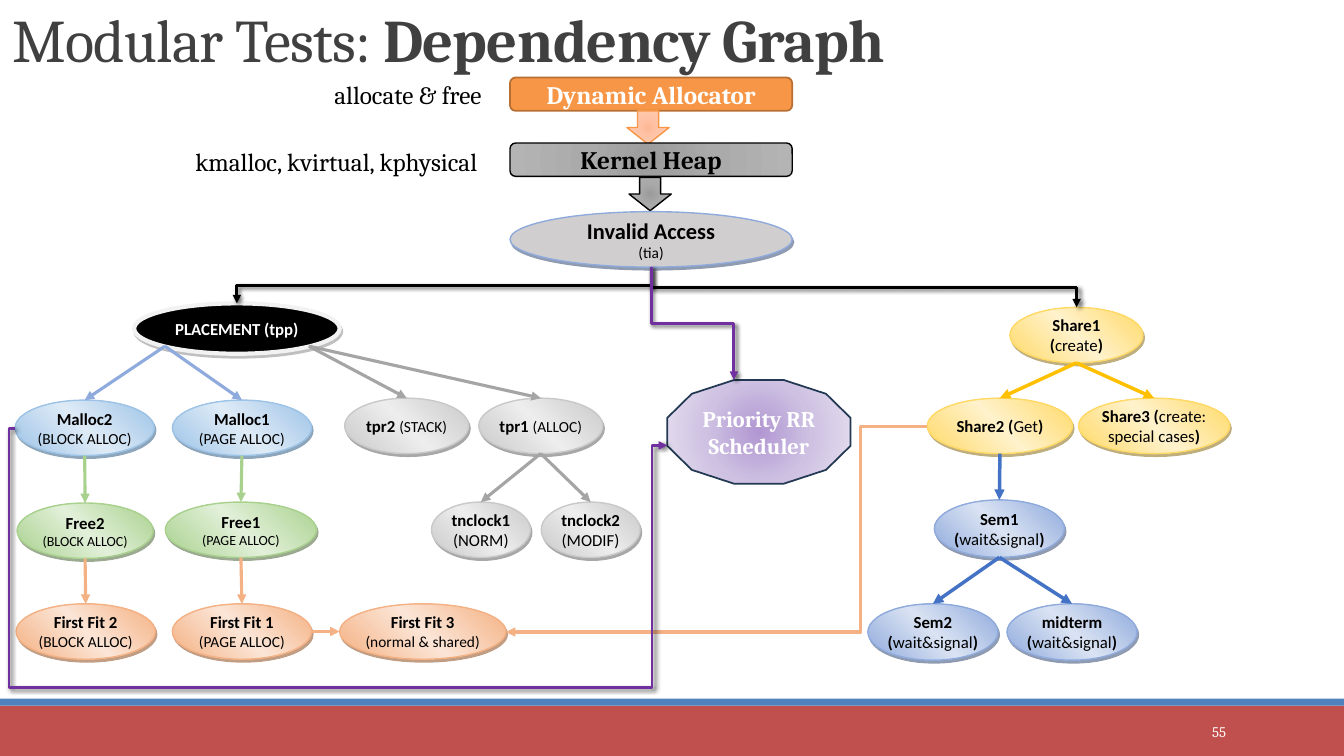
from pptx import Presentation
from pptx.dml.color import RGBColor
from pptx.enum.shapes import MSO_CONNECTOR, MSO_SHAPE
from pptx.enum.text import MSO_ANCHOR, MSO_AUTO_SIZE, PP_ALIGN
from pptx.oxml import parse_xml
from pptx.oxml.ns import nsdecls, qn
from pptx.util import Pt


def write(frame, lines, font, color, size, plain_size=None, align=PP_ALIGN.CENTER):
    """Write one paragraph per line; each | switches between bold and plain."""
    for number, line in enumerate(lines):
        para = frame.add_paragraph() if number else frame.paragraphs[0]
        para.alignment = align
        para.font.name = font
        para.font.color.rgb = RGBColor.from_string(color)
        parts = [(part, i % 2 == 0) for i, part in enumerate(line.split("|")) if part]
        for part, bold in parts:
            span = para.add_run()
            span.text = part
            target = para.font if len(parts) == 1 else span.font
            target.bold = bold
            target.size = Pt(size if bold else plain_size or size)


def style(shape, line, width=1, fill=None, focus=None, shadow=None, arrow=False):
    """Set fill (hex or gradient stops), line, arrowhead and shadow.

    focus is the percent inset of a circular gradient; without it the gradient is linear.
    shadow is colour, opacity, blur, distance and angle.
    """
    properties = shape._element.spPr
    if isinstance(fill, str):
        shape.fill.solid()
        shape.fill.fore_color.rgb = RGBColor.from_string(fill)
    elif fill:
        shape.fill.gradient()
        gradient = properties.find(qn("a:gradFill"))
        for child in list(gradient):
            gradient.remove(child)
        stops = "".join(f'<a:gs pos="{at * 1000}"><a:srgbClr val="{color}"/></a:gs>' for at, color in fill)
        gradient.append(parse_xml(f'<a:gsLst {nsdecls("a")}>{stops}</a:gsLst>'))
        if focus:
            inset = " ".join(f'{side}="{focus * 1000}"' for side in "ltrb")
            direction = f'<a:path {nsdecls("a")} path="circle"><a:fillToRect {inset}/></a:path>'
        else:
            direction = f'<a:lin {nsdecls("a")} ang="18900000" scaled="1"/>'
        gradient.append(parse_xml(direction))
    if line:
        shape.line.color.rgb = RGBColor.from_string(line)
        shape.line.width = Pt(width)
    else:
        shape.line.fill.background()
    if arrow:
        properties.find(qn("a:ln")).append(parse_xml(f'<a:tailEnd {nsdecls("a")} type="triangle"/>'))
    effect = ""
    if shadow:
        color, opacity, blur, distance, angle = shadow
        effect = (f'<a:outerShdw blurRad="{Pt(blur)}" dist="{Pt(distance)}" dir="{angle * 60000}" '
                  f'algn="ctr" rotWithShape="0"><a:srgbClr val="{color}">'
                  f'<a:alpha val="{opacity * 1000}"/></a:srgbClr></a:outerShdw>')
    properties.append(parse_xml(f'<a:effectLst {nsdecls("a")}>{effect}</a:effectLst>'))


deck = Presentation()
deck.slide_width, deck.slide_height = Pt(960), Pt(540)
page = deck.slides.add_slide(deck.slide_layouts[5])
shapes = page.shapes

# Footer bands and page number
for top, height, color in ((504, 36, "C0504D"), (499, 5, "4F81BD")):
    band = shapes.add_shape(MSO_SHAPE.RECTANGLE, 0, Pt(top), Pt(960), Pt(height))
    style(band, None, fill=color)
number_box = shapes.add_textbox(Pt(779.8), Pt(508.3), Pt(103), Pt(28.8))
number_box.text_frame.word_wrap = True
number_box.text_frame.vertical_anchor = MSO_ANCHOR.MIDDLE
write(number_box.text_frame, ["|55"], "Cambria", "FFFFFF", 10.5, align=PP_ALIGN.RIGHT)

# Title
title = shapes.title
title.left, title.top, title.width, title.height = Pt(1.4), Pt(1.4), Pt(958.4), Pt(55.4)
frame = title.text_frame
frame.word_wrap = True
frame.auto_size = MSO_AUTO_SIZE.NONE
frame.vertical_anchor = MSO_ANCHOR.BOTTOM
write(frame, ["|Modular Tests: |Dependency Graph"], "Cambria", "404040", 43.2, align=PP_ALIGN.LEFT)
frame.paragraphs[0].line_spacing = 0.85
for span in frame.paragraphs[0].runs:
    span._r.get_or_add_rPr().set("spc", "-50")

# Foundation stack and scheduler
peach = [(0, "FDB896"), (45, "FFC6AA"), (100, "FFCCB5")]
grey = [(0, "9C9C9C"), (45, "AAAAAA"), (100, "B4B4B4")]
purple = [(0, "B197D2"), (50, "CEC1E2"), (100, "E7E1F0")]
BAR, DOWN, DODECAGON = MSO_SHAPE.ROUNDED_RECTANGLE, MSO_SHAPE.DOWN_ARROW, MSO_SHAPE.DODECAGON
blocks = [
    (BAR, 364.3, 55.4, 201.6, 23.8, "F79646", None, "B76F34", 1.25, "Dynamic Allocator", 18, "FFFFFF"),
    (DOWN, 447.8, 79.2, 30.2, 23.8, peach, 100, "F79646", 1, "", 18, "FFFFFF"),
    (BAR, 364.3, 102.2, 201.6, 23.8, grey, 100, "000000", 1, "Kernel Heap", 18, "000000"),
    (DOWN, 449.3, 126.7, 30.2, 23.8, grey, 100, "000000", 1, "", 18, "000000"),
    (DODECAGON, 476.6, 271.4, 131, 74.2, purple, 50, "233953", 1.25, "Priority RR Scheduler", 16, "FFFFFF"),
]
for kind, left, top, width, height, fill, focus, line, weight, text, size, color in blocks:
    block = shapes.add_shape(kind, Pt(left), Pt(top), Pt(width), Pt(height))
    style(block, line, weight, fill, focus)
    if text:
        block.text_frame.word_wrap = True
        block.text_frame.vertical_anchor = MSO_ANCHOR.MIDDLE
        write(block.text_frame, [text], "Cambria", color, size)

for text, left, top, width in (("allocate & free", 231.8, 53.3, 125.3),
                               ("kmalloc, kvirtual, kphysical", 132.5, 100.8, 229)):
    label = shapes.add_textbox(Pt(left), Pt(top), Pt(width), Pt(28.8))
    label.text_frame.word_wrap = False
    label.text_frame.auto_size = MSO_AUTO_SIZE.SHAPE_TO_FIT_TEXT
    write(label.text_frame, ["|" + text], "Cambria", "000000", 18, align=PP_ALIGN.LEFT)

# Test ellipses: edge, middle and shadow colour of each family
families = {
    "silver": ("C9C9C9", "EDEDED", "525252"),
    "green": ("A9D18E", "E2F0D9", "385723"),
    "sky": ("9DC3E6", "DEEBF7", "1F4E79"),
    "orange": ("F4B183", "FBE5D6", "843C0B"),
    "gold": ("FFD966", "FFF2CC", "806000"),
    "blue": ("8FAADC", "DAE3F3", "203864"),
}
block_alloc, page_alloc, signal = "|(BLOCK ALLOC)", "|(PAGE ALLOC)", "(|wait&signal|)"
tests = [
    ("tpr1", ["tpr1 |(ALLOC)"], 342, 284.4, 88.6, 39.6, "silver", 11),
    ("tpr2", ["tpr2 |(STACK)"], 246.2, 284.4, 88.6, 39.6, "silver", 11),
    ("tnclock1", ["tnclock1 |(NORM)"], 308.2, 358.6, 70.6, 39.6, "silver", 12),
    ("tnclock2", ["tnclock2 |(MODIF)"], 386.6, 358.6, 70.6, 39.6, "silver", 12),
    ("Malloc1", ["Malloc1", page_alloc], 123.1, 285.8, 99.4, 39.6, "sky", 11),
    ("Malloc2", ["Malloc2", block_alloc], 10.8, 285.8, 99.4, 39.6, "sky", 11),
    ("Free1", ["Free1", page_alloc], 118.1, 358.6, 108, 39.6, "green", 10),
    ("Free2", ["Free2", block_alloc], 12.2, 359.3, 97.2, 39.6, "green", 10),
    ("Fit1", ["First Fit 1", page_alloc], 123.1, 431.3, 99.4, 39.6, "orange", 11),
    ("Fit2", ["First Fit 2", block_alloc], 11.5, 431.3, 99.4, 39.6, "orange", 11),
    ("Fit3", ["First Fit 3", "|(normal & shared)"], 242.6, 431.3, 118.8, 39.6, "orange", 11),
    ("Share1", ["Share1 (|create|)"], 721.4, 219.6, 95, 39.6, "gold", 12),
    ("Share2", ["Share2 (|Get|)"], 662.4, 284.4, 103.7, 39.6, "gold", 12),
    ("Share3", ["Share3 (|create: special cases|)"], 770.4, 284.4, 108, 39.6, "gold", 12),
    ("Sem1", ["Sem1", signal], 667.4, 357.1, 92.9, 41, "blue", 12),
    ("Sem2", ["Sem2", signal], 619.9, 431.3, 92.9, 40.3, "blue", 12),
    ("midterm", ["midterm", signal], 719.3, 431.3, 92.9, 40.3, "blue", 12),
    ("placement", ["PLACEMENT (tpp)"], 95.8, 216.7, 146.9, 36, None, 12),
    ("access", ["Invalid Access", "|(tia)"], 364.3, 151.2, 201.6, 39.6, None, 11),
]
# fill, line, line width, shadow, text colour, text size
special = {
    "placement": ("000000", "F2F2F2", 3, "808080", "FFFFFF", 12),
    "access": ("D0CECE", "8FAADC", 1, "203864", "000000", 16),
}
nodes = {}
for name, lines, left, top, width, height, family, plain_size in tests:
    if family:
        edge, middle, shade = families[family]
        fill = [(0, edge), (50, middle), (100, edge)]
        weight, color, size = 1, "000000", 12
    else:
        fill, edge, weight, shade, color, size = special[name]
    node = shapes.add_shape(MSO_SHAPE.OVAL, Pt(left), Pt(top), Pt(width), Pt(height))
    style(node, edge, weight, fill, shadow=(shade, 50, 0, 2.2, 63))
    frame = node.text_frame
    frame.margin_left = frame.margin_top = frame.margin_right = frame.margin_bottom = 0
    frame.word_wrap = True
    frame.vertical_anchor = MSO_ANCHOR.MIDDLE
    write(frame, lines, "Calibri", color, size, plain_size)
    nodes[name] = node

# Straight arrows: start as a share of the parent's width and height, end at the child's top
BOTTOM, LOWER_LEFT, LOWER_RIGHT = (0.5, 1), (0.15, 0.85), (0.85, 0.85)
links = [
    ("placement", LOWER_RIGHT, ("tpr1", "tpr2"), "A5A5A5", 2.25),
    ("tpr1", BOTTOM, ("tnclock1", "tnclock2"), "A5A5A5", 2.25),
    ("placement", LOWER_LEFT, ("Malloc2", "Malloc1"), "8FAADC", 2.25),
    ("Malloc1", BOTTOM, ("Free1",), "A9D18E", 2.25),
    ("Malloc2", BOTTOM, ("Free2",), "A9D18E", 2.25),
    ("Free1", BOTTOM, ("Fit1",), "F4B183", 2.25),
    ("Free2", BOTTOM, ("Fit2",), "F4B183", 2.25),
    ("Fit1", (1, 0.5), ("Fit3",), "F4B183", 2.25),
    ("Share1", BOTTOM, ("Share2", "Share3"), "FFC000", 2.5),
    ("Share2", BOTTOM, ("Sem1",), "4472C4", 2.5),
    ("Sem1", BOTTOM, ("Sem2", "midterm"), "4472C4", 2.5),
]
for parent_name, (across, down), children, color, weight in links:
    parent = nodes[parent_name]
    x = parent.left + int(parent.width * across)
    y = parent.top + int(parent.height * down)
    for child_name in children:
        child = nodes[child_name]
        link = shapes.add_connector(MSO_CONNECTOR.STRAIGHT, x, y, child.left, y)
        if across < 1:
            link.end_connect(child, 0)
        style(link, color, weight, arrow=True)

# Bent arrows
glow = ("000000", 60, 3, 2, 45)
routes = [
    ("000000", 2, glow, [(465.1, 190.8), (465.1, 203.8), (169.2, 203.8), (169.2, 216.7)]),
    ("000000", 2, glow, [(465.1, 190.8), (465.1, 205.2), (769, 205.2), (769, 219.6)]),
    ("7030A0", 2, glow, [(465.1, 190.8), (465.1, 231.1), (524.2, 231.1), (524.2, 271.4)]),
    ("F4B183", 2.25, None, [(662.4, 304.6), (614.9, 304.6), (614.9, 451.4), (361.4, 451.4)]),
    ("7030A0", 2, glow, [(10.8, 306), (6.5, 306), (6.5, 491), (465.8, 491), (465.8, 318.2), (476.6, 318.2)]),
]
for color, weight, shadow, corners in routes:
    start, *rest = [(Pt(x), Pt(y)) for x, y in corners]
    builder = shapes.build_freeform(*start)
    builder.add_line_segments(rest, close=False)
    route = builder.convert_to_shape()
    route.fill.background()
    style(route, color, weight, shadow=shadow, arrow=True)

deck.save("out.pptx")
